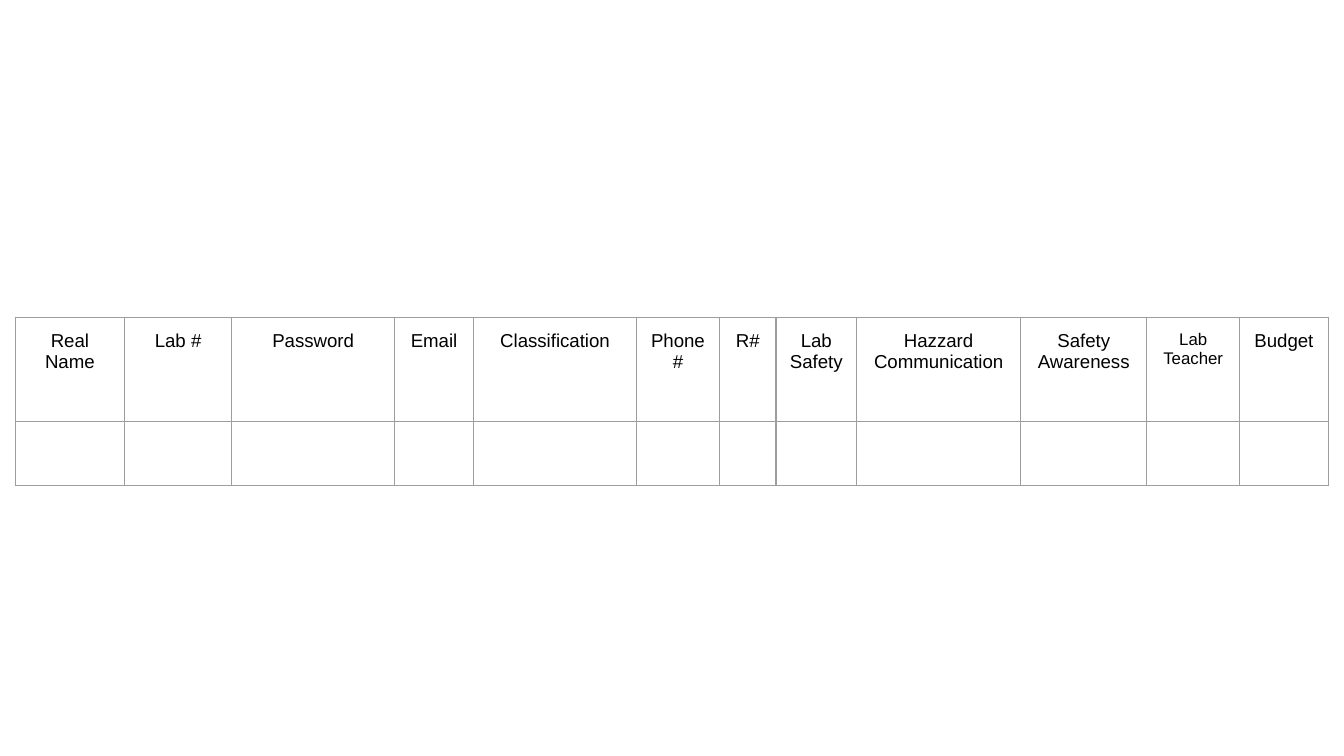
from lxml.etree import SubElement
from pptx import Presentation
from pptx.dml.color import RGBColor
from pptx.enum.text import PP_ALIGN as Align
from pptx.oxml.ns import qn
from pptx.util import Pt

PX = 4572
PAD = 20
FONT = "Arial"
BORDER = "9E9E9E"
COLUMNS = [
    ("Real Name", 162, 10),
    ("Lab #", 160, 10),
    ("Password", 242, 10),
    ("Email", 118, 10),
    ("Classification", 242, 10),
    ("Phone #", 124, 10),
    ("R#", 84, 10),
    ("Lab Safety", 120, 10),
    ("Hazzard Communication", 244, 10),
    ("Safety Awareness", 188, 10),
    ("Lab Teacher", 138, 9),
    ("Budget", 132, 10),
]
ROWS = [155, 84]


def px(n):
    return n * PX


def color(value):
    return RGBColor.from_string(value)


def add_borders(cell):
    props = cell._tc.get_or_add_tcPr()
    for i, side in enumerate(("a:lnL", "a:lnR", "a:lnT", "a:lnB")):
        line = props.makeelement(qn(side), {"w": str(Pt(0.75))})
        fill = SubElement(line, qn("a:solidFill"))
        SubElement(fill, qn("a:srgbClr"), val=BORDER)
        props.insert(i, line)


def style_cell(cell):
    cell.margin_left = cell.margin_right = px(PAD)
    cell.margin_top = cell.margin_bottom = px(PAD)
    cell.fill.background()
    add_borders(cell)


def write_header(cell, text, size):
    p = cell.text_frame.paragraphs[0]
    p.text = text
    p.alignment = Align.CENTER
    p.font.name = FONT
    p.font.size = Pt(size)
    p.font.bold = False
    p.font.color.rgb = color("000000")


def style_empty(cell):
    p = cell.text_frame.paragraphs[0]
    end = SubElement(p._p, qn("a:endParaRPr"), sz="1800")
    SubElement(end, qn("a:latin"), typeface=FONT)


def add_roster(s, x, y, w, h):
    frame = s.shapes.add_table(len(ROWS), len(COLUMNS), px(x), px(y), px(w), px(h))
    table = frame.table
    table.first_row = table.horz_banding = False
    for row, height in zip(table.rows, ROWS):
        row.height = px(height)
    for cell in table.iter_cells():
        style_cell(cell)
    for i, (text, width, size) in enumerate(COLUMNS):
        table.columns[i].width = px(width)
        write_header(table.cell(0, i), text, size)
        style_empty(table.cell(1, i))


def main():
    prs = Presentation()
    prs.slide_width, prs.slide_height = px(2000), px(1125)
    s = prs.slides.add_slide(prs.slide_layouts[6])
    s.background.fill.solid()
    s.background.fill.fore_color.rgb = color("FFFFFF")
    add_roster(s, 23, 472, sum(width for _, width, _ in COLUMNS), sum(ROWS))
    prs.save("out.pptx")


if __name__ == "__main__":
    main()
